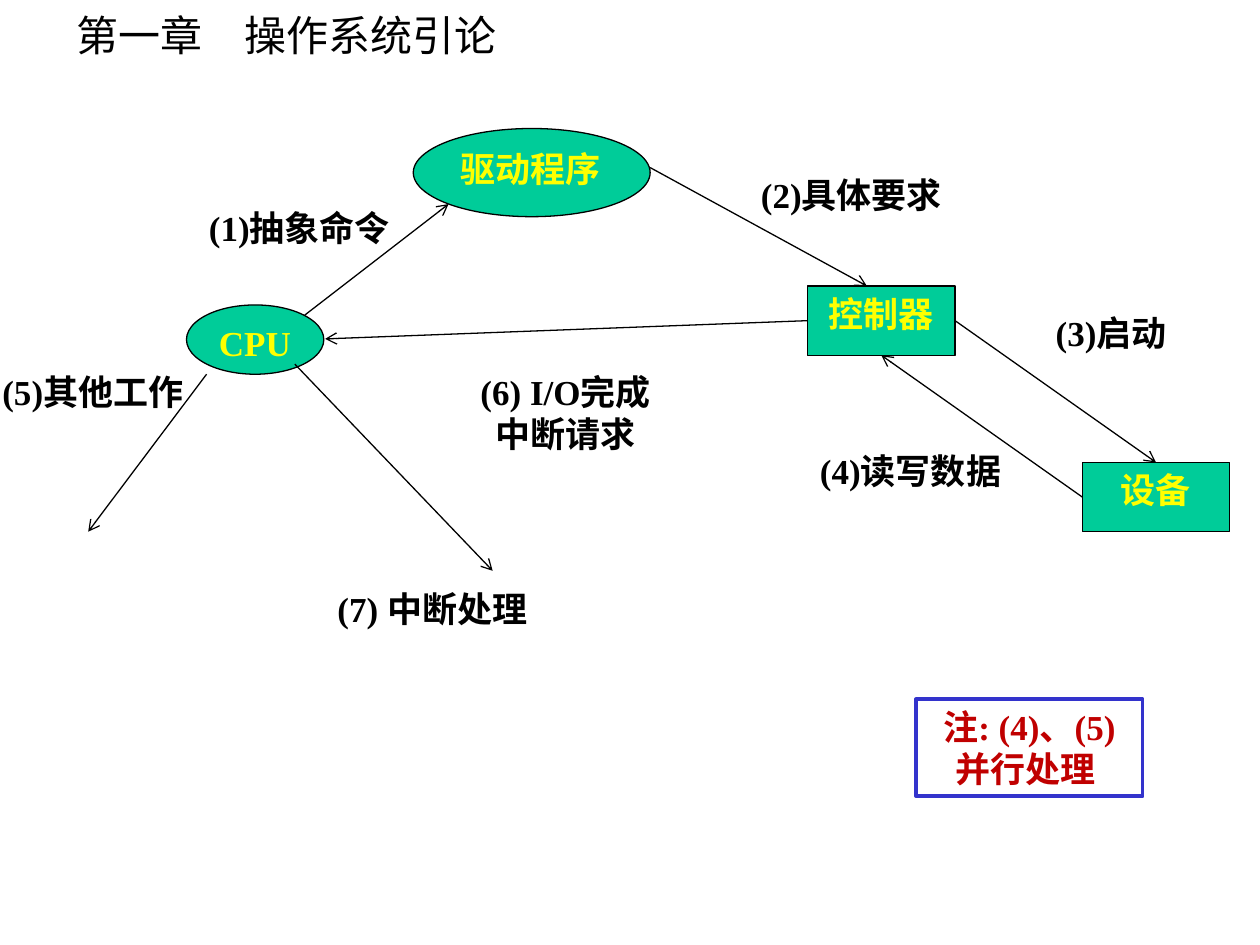
from lxml.etree import SubElement
from pptx import Presentation
from pptx.dml.color import RGBColor
from pptx.enum.shapes import MSO_CONNECTOR, MSO_SHAPE
from pptx.enum.text import MSO_ANCHOR, MSO_AUTO_SIZE, PP_ALIGN
from pptx.oxml.ns import qn
from pptx.util import Inches, Pt

BLACK, WHITE, GREEN, YELLOW = "000000", "FFFFFF", "00CC99", "FFFF00"
BLUE, RED = "3333CC", "C00000"
LATIN, HAN = "Times New Roman", "Noto Sans CJK SC"


def paint(color, code):
    color.rgb = RGBColor.from_string(code)


def write(frame, text, size=20, face=LATIN, color=BLACK, bold=True,
          center=False, wrap=True, grow=False):
    frame.word_wrap = wrap
    frame.auto_size = MSO_AUTO_SIZE.SHAPE_TO_FIT_TEXT if grow else MSO_AUTO_SIZE.NONE
    frame.vertical_anchor = MSO_ANCHOR.TOP
    para = frame.paragraphs[0]
    para.alignment = PP_ALIGN.CENTER if center else PP_ALIGN.LEFT
    run = para.add_run()
    run.text = text
    font = run.font
    font.size, font.name, font.bold = Pt(size), face, bold
    paint(font.color, color)
    SubElement(run._r.get_or_add_rPr(), qn("a:ea")).set("typeface", HAN)


class Board:
    def __init__(self, slide, line=0.75, head="arrow"):
        self.shapes = slide.shapes
        self.line = line
        self.head = head

    def label(self, text, box, **style):
        item = self.shapes.add_textbox(*map(Inches, box))
        write(item.text_frame, text, grow=True, **style)

    def node(self, kind, text, box, fill=GREEN, edge=BLACK, width=None,
             color=YELLOW, **style):
        item = self.shapes.add_shape(kind, *map(Inches, box))
        item.shadow.inherit = False
        item.fill.solid()
        paint(item.fill.fore_color, fill)
        paint(item.line.color, edge)
        item.line.width = Pt(width or self.line)
        write(item.text_frame, text, color=color, **style)
        return item

    def arrow(self, start, end, source=None, target=None):
        item = self.shapes.add_connector(
            MSO_CONNECTOR.STRAIGHT, *map(Inches, start + end))
        if source:
            item.begin_connect(*source)
        if target:
            item.end_connect(*target)
        paint(item.line.color, BLACK)
        item.line.width = Pt(self.line)
        SubElement(item.line._get_or_add_ln(), qn("a:tailEnd")).set("type", self.head)
        SubElement(item._element.spPr, qn("a:effectLst"))


def main():
    deck = Presentation()
    deck.slide_width, deck.slide_height = Inches(10), Inches(7.5)
    board = Board(deck.slides.add_slide(deck.slide_layouts[6]))
    oval, rect = MSO_SHAPE.OVAL, MSO_SHAPE.RECTANGLE

    board.label("第一章　操作系统引论", (0.51, 0.03, 3.61, 0.5),
                size=24, face=HAN, bold=False, wrap=False)
    board.node(oval, "CPU", (1.48, 2.42, 1.09, 0.55))
    chip = board.node(rect, "控制器", (6.41, 2.27, 1.17, 0.55), center=True)
    device = board.node(rect, "设备", (8.59, 3.67, 1.17, 0.55), center=True)

    arrows = [
        ((2.42, 2.5), (3.56, 1.62), None, None),
        ((7.58, 2.54), (9.18, 3.67), (chip, 3), (device, 0)),
        ((8.59, 3.95), (6.99, 2.82), (device, 1), (chip, 2)),
        ((1.64, 2.97), (0.7, 4.22), None, None),
        ((6.41, 2.54), (2.58, 2.69), (chip, 1), None),
        ((2.34, 2.89), (3.91, 4.53), None, None),
        ((5.16, 1.33), (6.88, 2.27), None, None),
    ]
    for ends in arrows:
        board.arrow(*ends)

    labels = [
        ("(1)抽象命令", 1.56, 1.59, 1.72),
        ("(2)具体要求", 5.94, 1.33, 1.72),
        ("(3)启动", 8.28, 2.42, 1.17),
        ("(4)读写数据", 6.41, 3.52, 1.87),
        ("(5)其他工作", -0.08, 2.89, 1.72),
        ("(7) 中断处理", 2.58, 4.61, 2.03),
    ]
    for text, left, top, width in labels:
        board.label(text, (left, top, width, 0.44))
    board.label("(6) I/O完成中断请求", (3.59, 2.89, 1.8, 0.77), center=True)

    board.node(rect, "注: (4)、(5)并行处理 ", (7.27, 5.55, 1.8, 0.77), fill=WHITE,
               edge=BLUE, width=2, color=RED, center=True, grow=True)
    board.node(oval, "驱动程序", (3.28, 1.02, 1.88, 0.7))
    deck.save("out.pptx")


if __name__ == "__main__":
    main()
